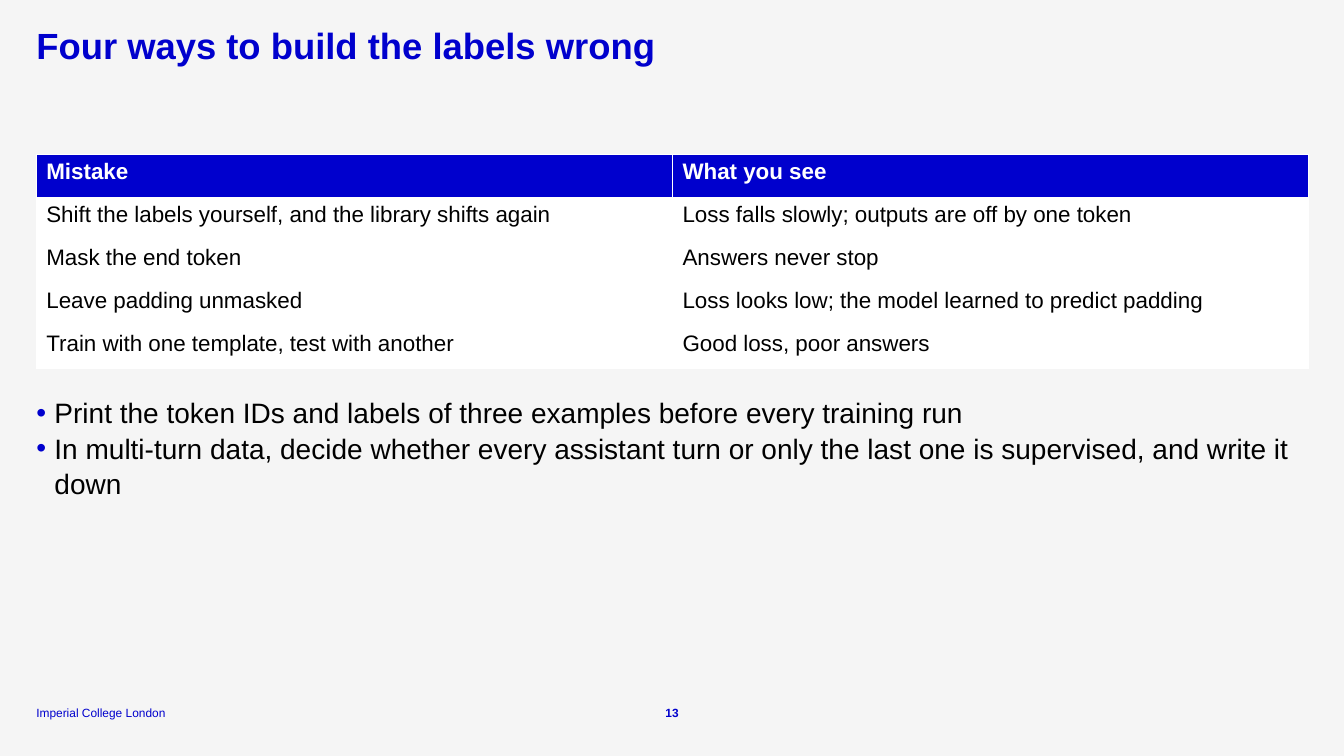
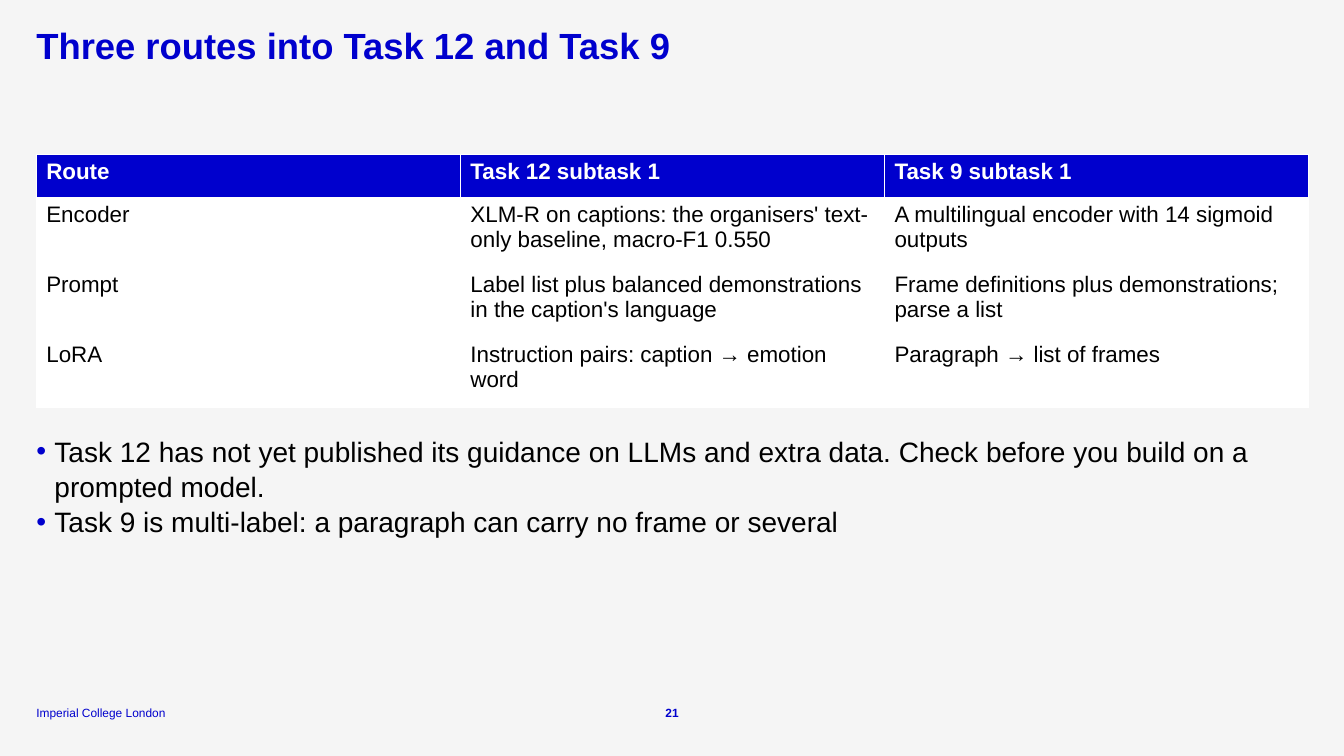
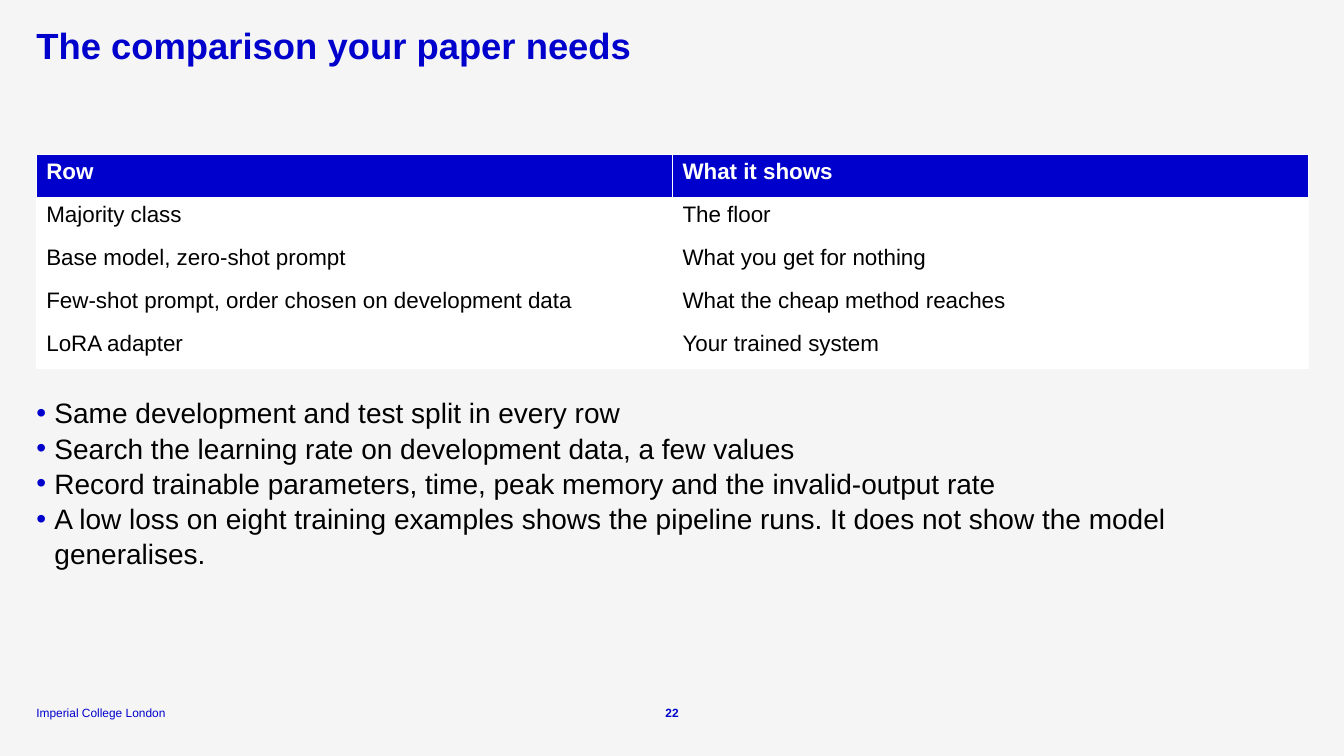
"""Build three lecture slides, each with a title, a table and a bullet list."""

from lxml import etree
from pptx import Presentation
from pptx.dml.color import RGBColor
from pptx.enum.text import MSO_ANCHOR, MSO_AUTO_SIZE, PP_ALIGN
from pptx.oxml.ns import qn
from pptx.util import Inches, Pt

SLIDES = [
    {
        "number": 13,
        "title": "Four ways to build the labels wrong",
        "table_height": 2.13,
        "rows": [
            ("Mistake", "What you see"),
            ("Shift the labels yourself, and the library shifts again",
             "Loss falls slowly; outputs are off by one token"),
            ("Mask the end token", "Answers never stop"),
            ("Leave padding unmasked",
             "Loss looks low; the model learned to predict padding"),
            ("Train with one template, test with another", "Good loss, poor answers"),
        ],
        "bullet_height": 1.35,
        "bullets": [
            "Print the token IDs and labels of three examples before every training run",
            "In multi-turn data, decide whether every assistant turn or only the last one "
            "is supervised, and write it down",
        ],
    },
    {
        "number": 21,
        "title": "Three routes into Task 12 and Task 9",
        "table_height": 2.51,
        "rows": [
            ("Route", "Task 12 subtask 1", "Task 9 subtask 1"),
            ("Encoder",
             "XLM-R on captions: the organisers' text-only baseline, macro-F1 0.550",
             "A multilingual encoder with 14 sigmoid outputs"),
            ("Prompt",
             "Label list plus balanced demonstrations in the caption's language",
             "Frame definitions plus demonstrations; parse a list"),
            ("LoRA", "Instruction pairs: caption → emotion word",
             "Paragraph → list of frames"),
        ],
        "bullet_height": 1.35,
        "bullets": [
            "Task 12 has not yet published its guidance on LLMs and extra data. "
            "Check before you build on a prompted model.",
            "Task 9 is multi-label: a paragraph can carry no frame or several",
        ],
    },
    {
        "number": 22,
        "title": "The comparison your paper needs",
        "table_height": 2.13,
        "rows": [
            ("Row", "What it shows"),
            ("Majority class", "The floor"),
            ("Base model, zero-shot prompt", "What you get for nothing"),
            ("Few-shot prompt, order chosen on development data",
             "What the cheap method reaches"),
            ("LoRA adapter", "Your trained system"),
        ],
        "bullet_height": 2.34,
        "bullets": [
            "Same development and test split in every row",
            "Search the learning rate on development data, a few values",
            "Record trainable parameters, time, peak memory and the invalid-output rate",
            "A low loss on eight training examples shows the pipeline runs. "
            "It does not show the model generalises.",
        ],
    },
]
FOOTER = "Imperial College London"

BLUE = RGBColor(0x00, 0x00, 0xCD)
BLACK = RGBColor(0x00, 0x00, 0x00)
WHITE = RGBColor(0xFF, 0xFF, 0xFF)
PAPER = RGBColor(0xF5, 0xF5, 0xF5)
FONT = "Arial"

TOP, BOTTOM = MSO_ANCHOR.TOP, MSO_ANCHOR.BOTTOM
LEFT, CENTER = PP_ALIGN.LEFT, PP_ALIGN.CENTER
NO_AUTO_SIZE = MSO_AUTO_SIZE.NONE

SLIDE_WIDTH, SLIDE_HEIGHT = Inches(13.33), Inches(7.5)
MARGIN = Inches(0.36)
CONTENT_WIDTH = Inches(12.62)
TITLE_TOP, TITLE_HEIGHT = Inches(0.28), Inches(0.41)
TABLE_TOP = Inches(1.53)
HEADER_HEIGHT = Inches(0.43)
TABLE_GAP = Inches(0.25)
BULLET_INDENT = Inches(0.18)
FOOTER_TOP, FOOTER_HEIGHT = Inches(6.99), Inches(0.15)
FOOTER_WIDTH, NUMBER_WIDTH = Inches(1.55), Inches(0.35)


def place(shape, left, top, width, height):
    shape.left, shape.top, shape.width, shape.height = left, top, width, height


def set_frame(frame, anchor=TOP):
    frame.margin_left = frame.margin_top = frame.margin_right = frame.margin_bottom = 0
    frame.word_wrap = True
    frame.auto_size = NO_AUTO_SIZE
    frame.vertical_anchor = anchor


def set_font(paragraph, size, color, bold=False):
    font = paragraph.font
    font.name, font.size, font.bold = FONT, Pt(size), bold
    font.color.rgb = color


def add_small_text(slide, text, left, width, alignment=LEFT, bold=False):
    box = slide.shapes.add_textbox(left, FOOTER_TOP, width, FOOTER_HEIGHT)
    set_frame(box.text_frame, BOTTOM)
    paragraph = box.text_frame.paragraphs[0]
    paragraph.text = text
    paragraph.alignment = alignment
    set_font(paragraph, 8.5, BLUE, bold)
    return box


def add_bullet(paragraph):
    properties = paragraph._p.get_or_add_pPr()
    properties.set("marL", str(BULLET_INDENT))
    properties.set("indent", str(-BULLET_INDENT))
    color = etree.SubElement(properties, qn("a:buClr"))
    etree.SubElement(color, qn("a:srgbClr"), val=str(BLUE))
    etree.SubElement(properties, qn("a:buFont"), typeface=FONT)
    etree.SubElement(properties, qn("a:buChar"), char="•")


def fill_title(title, text):
    set_frame(title.text_frame)
    paragraph = title.text_frame.paragraphs[0]
    paragraph.text = text
    paragraph.alignment = LEFT
    paragraph.line_spacing = 0.9
    set_font(paragraph, 26, BLUE, True)


def fill_bullets(body, bullets):
    frame = body.text_frame
    set_frame(frame)
    frame.text = "\n".join(bullets)
    for paragraph in frame.paragraphs:
        paragraph.line_spacing = 1.05
        paragraph.space_before = Pt(0)
        add_bullet(paragraph)
        set_font(paragraph, 20, BLACK)


def add_grid(slide, rows, height):
    table = slide.shapes.add_table(
        len(rows), len(rows[0]), MARGIN, TABLE_TOP, CONTENT_WIDTH, height).table
    row_height = (height - HEADER_HEIGHT) // (len(rows) - 1)
    for row_index, texts in enumerate(rows):
        header = row_index == 0
        table.rows[row_index].height = HEADER_HEIGHT if header else row_height
        for column_index, text in enumerate(texts):
            cell = table.cell(row_index, column_index)
            cell.fill.solid()
            cell.fill.fore_color.rgb = BLUE if header else WHITE
            paragraph = cell.text_frame.paragraphs[0]
            paragraph.text = text
            set_font(paragraph, 16, WHITE if header else BLACK, header)


def build_slide(presentation, layout, content):
    slide = presentation.slides.add_slide(layout)
    fill_title(slide.shapes.title, content["title"])
    table_height = Inches(content["table_height"])
    add_grid(slide, content["rows"], table_height)
    body = slide.placeholders[1]
    place(body, MARGIN, TABLE_TOP + table_height + TABLE_GAP,
          CONTENT_WIDTH, Inches(content["bullet_height"]))
    fill_bullets(body, content["bullets"])
    add_small_text(slide, str(content["number"]), (SLIDE_WIDTH - NUMBER_WIDTH) // 2,
                   NUMBER_WIDTH, CENTER, True)
    return slide


def main():
    presentation = Presentation()
    presentation.slide_width, presentation.slide_height = SLIDE_WIDTH, SLIDE_HEIGHT
    background = presentation.slide_master.background.fill
    background.solid()
    background.fore_color.rgb = PAPER
    layout = presentation.slide_layouts[1]
    place(layout.placeholders[0], MARGIN, TITLE_TOP, CONTENT_WIDTH, TITLE_HEIGHT)
    slides = [build_slide(presentation, layout, content) for content in SLIDES]
    footer = add_small_text(slides[0], FOOTER, MARGIN, FOOTER_WIDTH)
    layout.shapes.element.append(footer.element)
    presentation.save("out.pptx")


if __name__ == "__main__":
    main()
